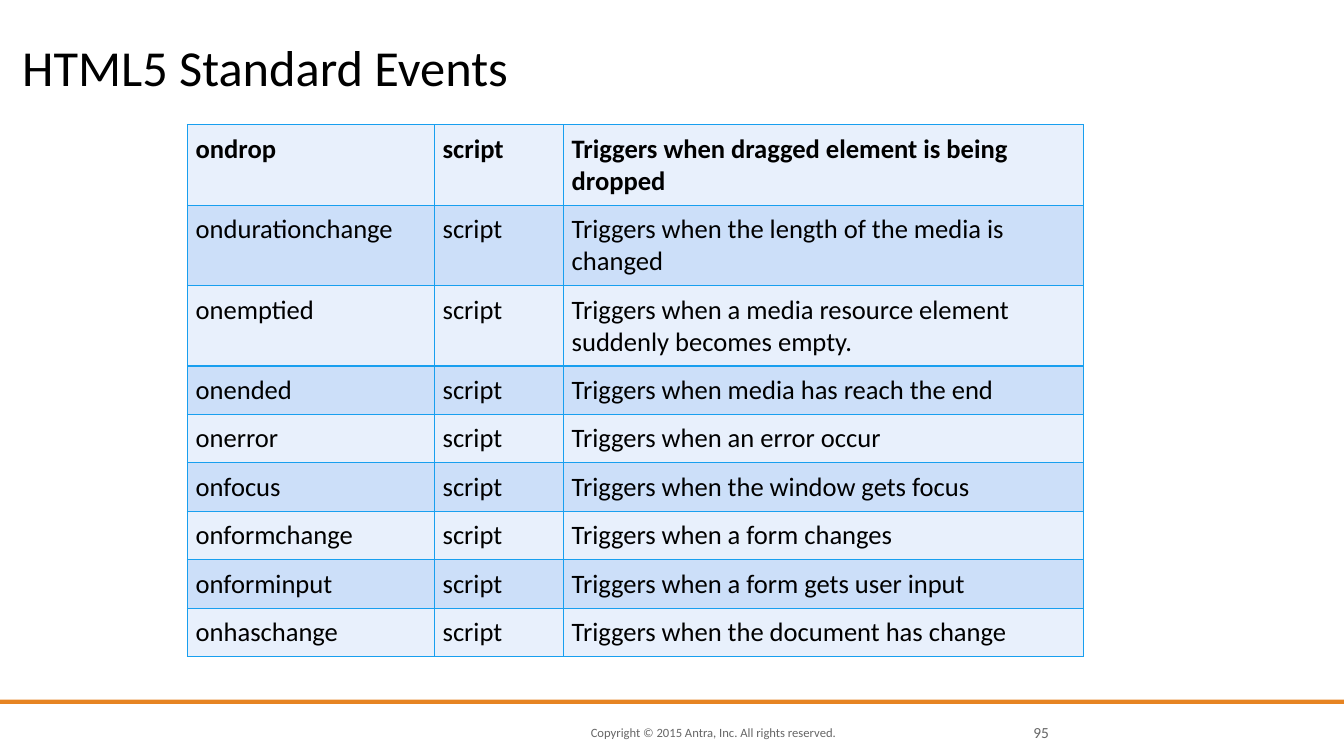
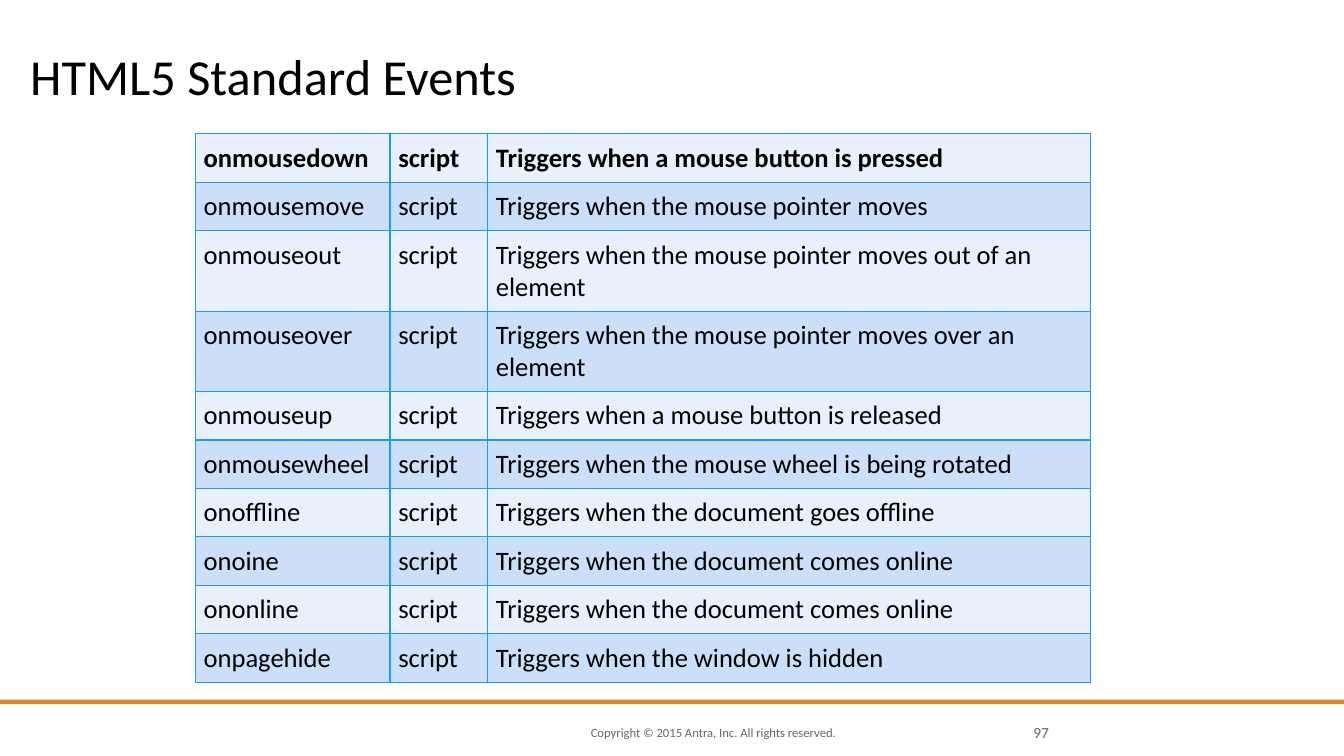
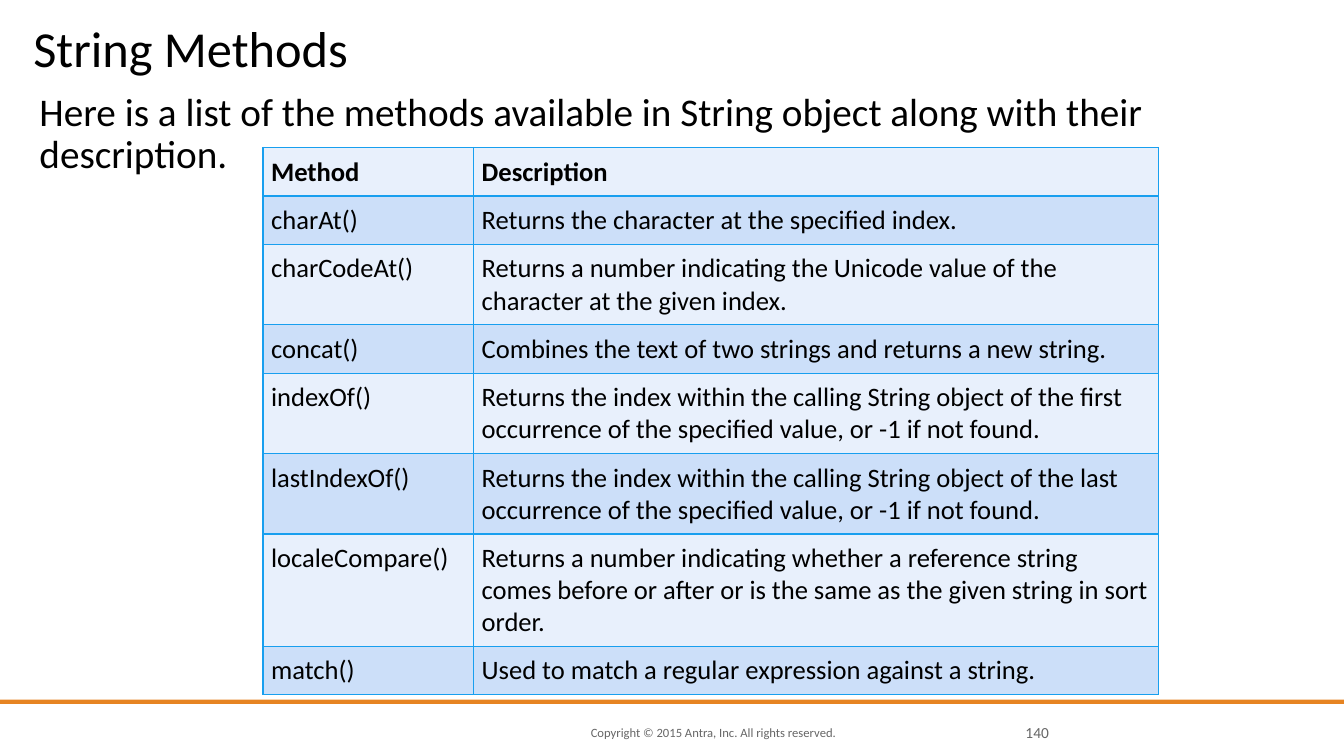
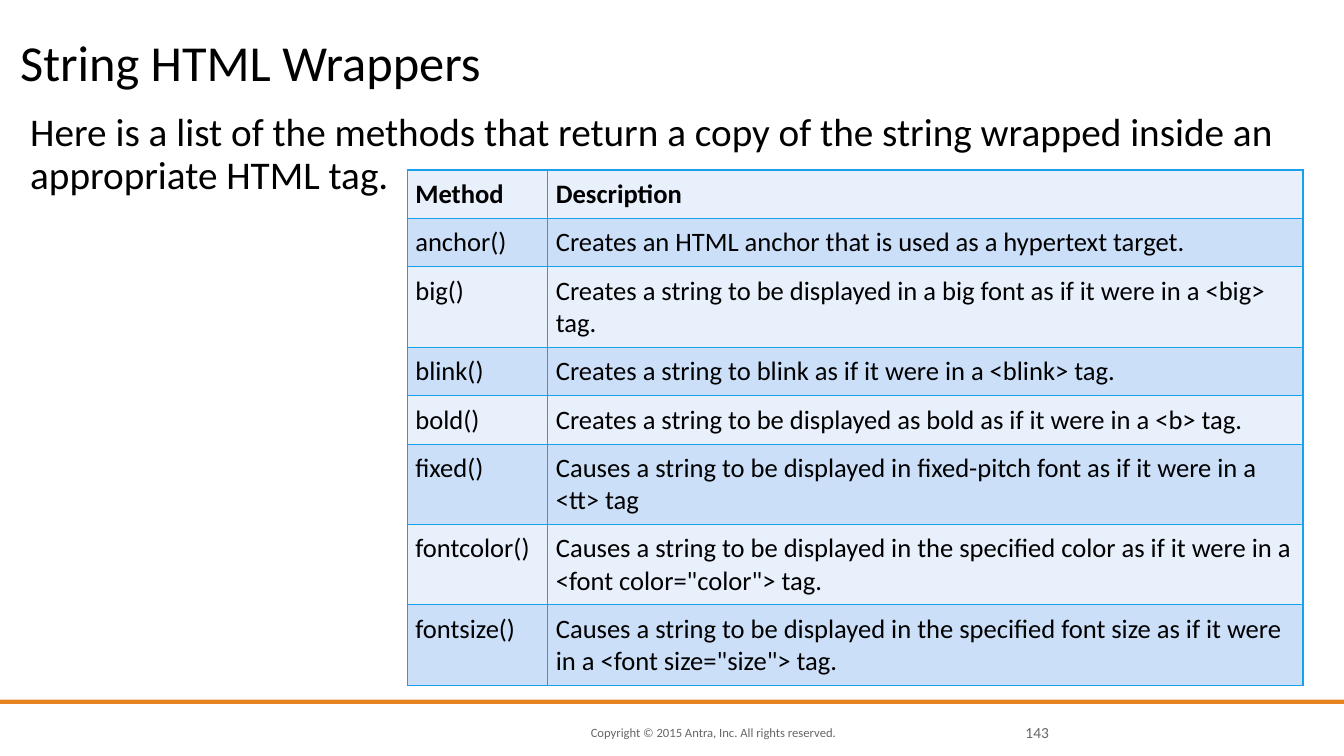
"""Build four reference slides on HTML5 events and String methods."""
from lxml import etree
from pptx import Presentation
from pptx import util as u
from pptx.dml.color import RGBColor
from pptx.enum import shapes, text
from pptx.oxml.ns import qn

COLOURS = {"text": "000000", "footer": "666666", "band": "E68422",
           "border": "189FEF", "light": "E8F0FC", "dark": "CCDFF9"}
FONT = "Calibri"
TITLE_SIZE = (876, 54)
ROW_HEIGHT = 29.5
CELL_MARGIN = 5.9
COPYRIGHT = "Copyright © 2015 Antra, Inc. All rights reserved."

DROP_EVENTS = [
    ("ondrop", "Triggers when dragged element is being dropped"),
    ("ondurationchange", "Triggers when the length of the media is changed"),
    ("onemptied", "Triggers when a media resource element suddenly becomes empty."),
    ("onended", "Triggers when media has reach the end"),
    ("onerror", "Triggers when an error occur"),
    ("onfocus", "Triggers when the window gets focus"),
    ("onformchange", "Triggers when a form changes"),
    ("onforminput", "Triggers when a form gets user input"),
    ("onhaschange", "Triggers when the document has change"),
]
MOUSE_EVENTS = [
    ("onmousedown", "Triggers when a mouse button is pressed"),
    ("onmousemove", "Triggers when the mouse pointer moves"),
    ("onmouseout", "Triggers when the mouse pointer moves out of an element"),
    ("onmouseover", "Triggers when the mouse pointer moves over an element"),
    ("onmouseup", "Triggers when a mouse button is released"),
    ("onmousewheel", "Triggers when the mouse wheel is being rotated"),
    ("onoffline", "Triggers when the document goes offline"),
    ("onoine", "Triggers when the document comes online"),
    ("ononline", "Triggers when the document comes online"),
    ("onpagehide", "Triggers when the window is hidden"),
]
METHOD_HEADER = ("Method", "Description")
STRING_METHODS = [
    METHOD_HEADER,
    ("charAt()", "Returns the character at the specified index."),
    ("charCodeAt()", "Returns a number indicating the Unicode value of the "
     "character at the given index."),
    ("concat()", "Combines the text of two strings and returns a new string."),
    ("indexOf()", "Returns the index within the calling String object of the first "
     "occurrence of the specified value, or -1 if not found."),
    ("lastIndexOf()", "Returns the index within the calling String object of the last "
     "occurrence of the specified value, or -1 if not found."),
    ("localeCompare()", "Returns a number indicating whether a reference string comes "
     "before or after or is the same as the given string in sort order."),
    ("match()", "Used to match a regular expression against a string."),
]
HTML_WRAPPERS = [
    METHOD_HEADER,
    ("anchor()", "Creates an HTML anchor that is used as a hypertext target."),
    ("big()", "Creates a string to be displayed in a big font as if it were in a <big> tag."),
    ("blink()", "Creates a string to blink as if it were in a <blink> tag."),
    ("bold()", "Creates a string to be displayed as bold as if it were in a <b> tag."),
    ("fixed()", "Causes a string to be displayed in fixed-pitch font as if it were in a <tt> tag"),
    ("fontcolor()", "Causes a string to be displayed in the specified color as if it "
     'were in a <font color="color"> tag.'),
    ("fontsize()", "Causes a string to be displayed in the specified font size as if it "
     'were in a <font size="size"> tag.'),
]


def with_script(events):
    """Put the value column between event name and description."""
    return [(name, "script", description) for name, description in events]


PAGES = [
    {"title": "HTML5 Standard Events", "title_at": (15.8, 15), "number": "95",
     "table_at": (133.9, 89.2), "columns": (176.4, 92.2, 371.5),
     "rows": with_script(DROP_EVENTS)},
    {"title": "HTML5 Standard Events", "title_at": (21.6, 21), "number": "97",
     "table_at": (139.6, 95.6), "columns": (139, 69.8, 430.8),
     "rows": with_script(MOUSE_EVENTS)},
    {"title": "String Methods", "title_at": (23.8, 1.5), "number": "140",
     "body": "Here is a list of the methods available in String object along with "
             "their description.",
     "body_at": (28.2, 66.2, 892, 312),
     "table_at": (187.8, 105.4), "columns": (150.4, 489.6), "rows": STRING_METHODS},
    {"title": "String HTML Wrappers", "title_at": (14.4, 11.5), "number": "143",
     "body": "Here is a list of the methods that return a copy of the string wrapped "
             "inside an appropriate HTML tag.",
     "body_at": (21.6, 80.6, 909.4, 312),
     "table_at": (290.8, 121.4), "columns": (100.4, 539.6), "rows": HTML_WRAPPERS},
]


def points(*lengths):
    """Turn plain numbers into lengths in points."""
    return [u.Pt(length) for length in lengths]


def write(frame, words, size, colour="text", bold=False, align="LEFT",
          anchor="TOP", spacing=1.0, margin=0):
    """Fill a text frame or table cell with one formatted paragraph."""
    frame.margin_left = frame.margin_right = u.Pt(margin)
    frame.margin_top = frame.margin_bottom = u.Pt(margin)
    frame.vertical_anchor = text.MSO_ANCHOR[anchor]
    frame.text = words
    para = getattr(frame, "text_frame", frame).paragraphs[0]
    para.alignment = text.PP_ALIGN[align]
    para.line_spacing = spacing
    para.space_before = u.Pt(0)
    font = para.runs[0].font
    font.name, font.size, font.bold = FONT, u.Pt(size), bold
    font.color.rgb = RGBColor.from_string(COLOURS[colour])
    return para


def add_text(page, place, words, size, **style):
    """Add a wrapping text box."""
    box = page.shapes.add_textbox(*points(*place))
    box.text_frame.word_wrap = True
    write(box.text_frame, words, size, **style)
    return box


def fill_placeholder(box, place, words, size, **style):
    """Move a placeholder and write unbulleted text in it."""
    box.left, box.top, box.width, box.height = points(*place)
    box.text_frame.auto_size = text.MSO_AUTO_SIZE.NONE
    box.text_frame.word_wrap = True
    para = write(box.text_frame, words, size, **style)
    settings = para._p.get_or_add_pPr()
    settings.set("marL", "0")
    settings.set("indent", "0")
    etree.SubElement(settings, qn("a:buNone"))


def add_border(cell):
    """Draw a one point line on all four sides of a cell."""
    settings = cell._tc.get_or_add_tcPr()
    for side in "LRTB":
        line = etree.SubElement(settings, qn("a:ln" + side), w=str(u.Pt(1)))
        fill = etree.SubElement(line, qn("a:solidFill"))
        etree.SubElement(fill, qn("a:srgbClr"), val=COLOURS["border"])


def add_grid(page, place, columns, rows):
    """Add a banded table with a bold first row."""
    size = (sum(columns), ROW_HEIGHT * len(rows))
    table = page.shapes.add_table(len(rows), len(columns), *points(*place, *size)).table
    for column, width in zip(table.columns, columns):
        column.width = u.Pt(width)
    for r, row in enumerate(rows):
        for c, words in enumerate(row):
            cell = table.cell(r, c)
            write(cell, words, 19, bold=r == 0, margin=CELL_MARGIN)
            add_border(cell)
            cell.fill.solid()
            cell.fill.fore_color.rgb = RGBColor.from_string(
                COLOURS["dark" if r % 2 else "light"])


def add_shared_parts(deck, page):
    """Draw the copyright line and band, then move them to the master."""
    line = add_text(page, (422, 516.2, 220, 14.4), COPYRIGHT, 9,
                    colour="footer", anchor="MIDDLE")
    band = page.shapes.add_shape(shapes.MSO_SHAPE.RECTANGLE, *points(0, 499.8, 960, 3))
    band.shadow.inherit = False
    band.fill.solid()
    band.fill.fore_color.rgb = RGBColor.from_string(COLOURS["band"])
    band.line.fill.background()
    for part in (line, band):
        deck.slide_master.shapes.element.append(part.element)


def main():
    """Build and save the deck."""
    deck = Presentation()
    deck.slide_width, deck.slide_height = points(960, 540)
    for index, content in enumerate(PAGES):
        layout = deck.slide_layouts[1 if "body" in content else 5]
        page = deck.slides.add_slide(layout)
        if index == 0:
            add_shared_parts(deck, page)
        fill_placeholder(page.shapes.title, content["title_at"] + TITLE_SIZE,
                         content["title"], 36, anchor="BOTTOM", spacing=0.8)
        if "body" in content:
            fill_placeholder(page.placeholders[1], content["body_at"],
                             content["body"], 28, spacing=0.9)
        add_text(page, (719.3, 516.2, 30, 14.4), content["number"], 11,
                 colour="footer", align="RIGHT", anchor="MIDDLE")
        add_grid(page, content["table_at"], content["columns"], content["rows"])
    deck.save("out.pptx")


if __name__ == "__main__":
    main()
